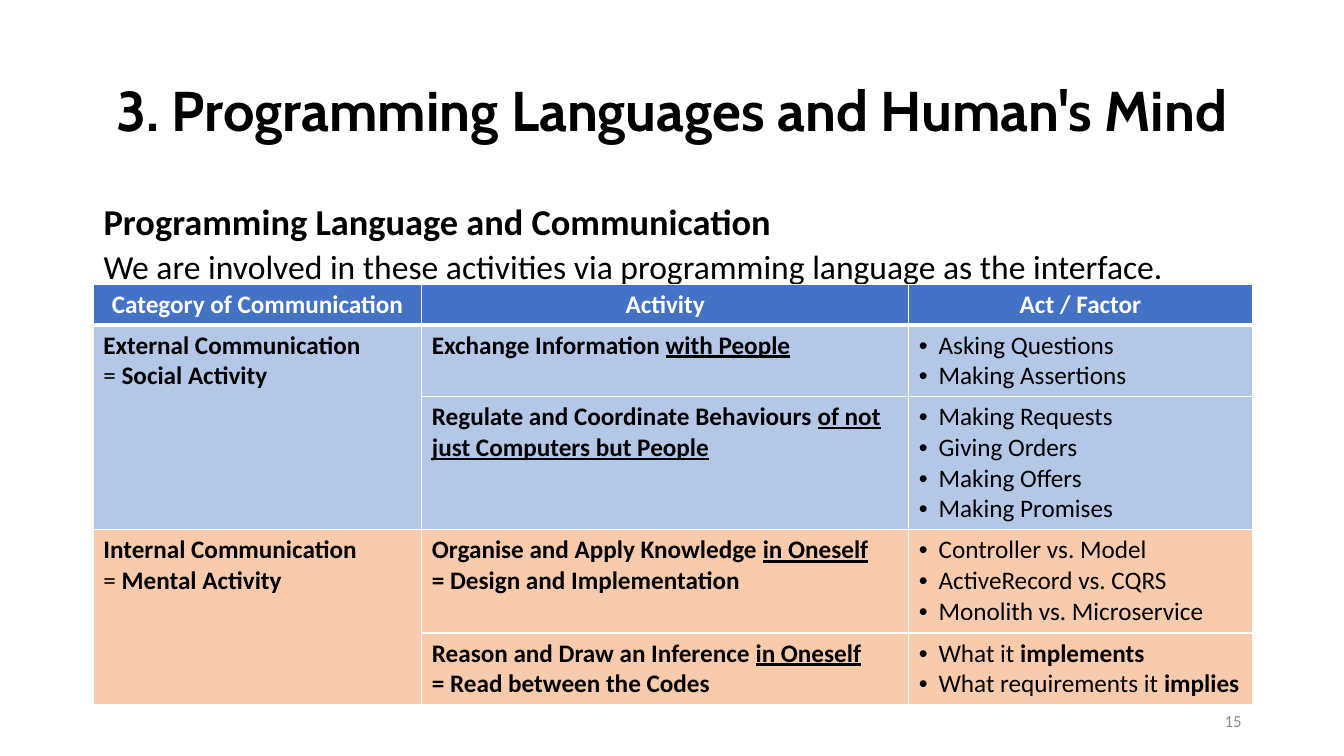
from dataclasses import dataclass

from lxml.etree import SubElement
from pptx import Presentation
from pptx.dml.color import RGBColor
from pptx.enum.text import MSO_ANCHOR, PP_ALIGN
from pptx.oxml.ns import qn
from pptx.util import Cm, Pt


@dataclass(frozen=True)
class Theme:
    heading_font: str = "Cabin"
    body_font: str = "Calibri"
    ink: str = "000000"
    paper: str = "FFFFFF"
    muted: str = "8C8C8C"
    header: str = "4472C4"
    external: str = "B4C7E7"
    internal: str = "F8CBAD"
    title_size: float = 40
    subtitle_size: float = 26
    lead_size: float = 24
    table_size: float = 18
    number_size: float = 12


@dataclass(frozen=True)
class Line:
    runs: list
    size: float
    color: str
    font: str = Theme.body_font
    align: PP_ALIGN = PP_ALIGN.LEFT
    bullet: bool = False
    spacing: object = None
    before: float = 0


class Deck:
    def __init__(self, theme):
        self.theme = theme
        self.presentation = Presentation()
        self.presentation.slide_width = Cm(33.87)
        self.presentation.slide_height = Cm(19.05)
        self.slide = self.presentation.slides.add_slide(self.presentation.slide_layouts[6])

    def add_lines(self, frame, lines):
        for index, line in enumerate(lines):
            paragraph = frame.add_paragraph() if index else frame.paragraphs[0]
            if line.bullet:
                self.bullet(paragraph)
            paragraph.alignment = line.align
            if line.spacing:
                paragraph.line_spacing = line.spacing
            if index and line.before:
                paragraph.space_before = Pt(line.before)
            for wording, style in line.runs:
                run = paragraph.add_run()
                run.text = wording
                run.font.name = line.font
                run.font.size = Pt(line.size)
                run.font.color.rgb = RGBColor.from_string(line.color)
                run.font.bold = "b" in style
                run.font.underline = "u" in style

    def bullet(self, paragraph):
        properties = paragraph._p.get_or_add_pPr()
        properties.set("marL", str(Cm(0.5)))
        properties.set("indent", str(Cm(-0.5)))
        SubElement(properties, qn("a:buFont"), typeface="Arial")
        SubElement(properties, qn("a:buChar"), char="•")

    def text(self, left, top, width, height, lines, anchor=MSO_ANCHOR.TOP):
        box = self.slide.shapes.add_textbox(Cm(left), Cm(top), Cm(width), Cm(height))
        box.text_frame.word_wrap = True
        box.text_frame.vertical_anchor = anchor
        self.add_lines(box.text_frame, lines)

    def table(self, left, top, widths, heights):
        grid = self.slide.shapes.add_table(
            len(heights), len(widths), Cm(left), Cm(top), Cm(sum(widths)), Cm(sum(heights))
        ).table
        for column, width in zip(grid.columns, widths):
            column.width = Cm(width)
        for row, height in zip(grid.rows, heights):
            row.height = Cm(height)
        return grid

    def cell(self, cell, fill, lines=(), bottom=1):
        self.add_lines(cell.text_frame, lines)
        properties = cell._tc.get_or_add_tcPr()
        for side, points in (("lnL", 1), ("lnR", 1), ("lnT", 1), ("lnB", bottom)):
            border = SubElement(properties, qn(f"a:{side}"), w=str(Pt(points)))
            paint = SubElement(border, qn("a:solidFill"))
            SubElement(paint, qn("a:srgbClr"), val=self.theme.paper)
        cell.fill.solid()
        cell.fill.fore_color.rgb = RGBColor.from_string(fill)


def main():
    theme = Theme()
    deck = Deck(theme)

    def entry(*runs, bullet=False):
        return Line(list(runs), theme.table_size, theme.ink, bullet=bullet)

    def factors(*names):
        return [entry((name, ""), bullet=True) for name in names]

    deck.text(2.33, 1.02, 29.21, 3.68, [
        Line([("3. Programming Languages and Human's Mind", "b")], theme.title_size,
             theme.ink, theme.heading_font, PP_ALIGN.CENTER, spacing=0.9),
    ], MSO_ANCHOR.MIDDLE)
    deck.text(23.92, 17.66, 7.62, 1.01, [
        Line([("15", "")], theme.number_size, theme.muted, align=PP_ALIGN.RIGHT),
    ], MSO_ANCHOR.MIDDLE)
    deck.text(2.36, 5.08, 29.18, 2.2, [
        Line([("Programming Language and Communication", "b")], theme.subtitle_size,
             theme.ink, spacing=Pt(25.9)),
        Line([("We are involved in these activities via programming language as the interface.", "")],
             theme.lead_size, theme.ink, spacing=Pt(25.9), before=5),
    ])

    grid = deck.table(2.35, 7.17, [8.28, 12.27, 8.66], [1.02, 1.8, 3.36, 2.6, 1.8])
    for column, heading in enumerate(["Category of Communication", "Activity", "Act / Factor"]):
        deck.cell(grid.cell(0, column), theme.header, [
            Line([(heading, "b")], theme.table_size, theme.paper, align=PP_ALIGN.CENTER),
        ], bottom=3)

    categories = [
        ("External Communication", "Social Activity", theme.external, [
            ([entry(("Exchange Information ", "b"), ("with People", "bu"))],
             factors("Asking Questions", "Making Assertions")),
            ([entry(("Regulate and Coordinate Behaviours ", "b"),
                    ("of not just Computers but People", "bu"))],
             factors("Making Requests", "Giving Orders", "Making Offers", "Making Promises")),
        ]),
        ("Internal Communication", "Mental Activity", theme.internal, [
            ([entry(("Organise and Apply Knowledge ", "b"), ("in Oneself", "bu")),
              entry(("= Design and Implementation", "b"))],
             factors("Controller vs. Model", "ActiveRecord vs. CQRS", "Monolith vs. Microservice")),
            ([entry(("Reason and Draw an Inference ", "b"), ("in Oneself", "bu")),
              entry(("= Read between the Codes", "b"))],
             [entry(("What it ", ""), ("implements", "b"), bullet=True),
              entry(("What requirements it ", ""), ("implies", "b"), bullet=True)]),
        ]),
    ]
    row = 1
    for category, meaning, fill, activities in categories:
        grid.cell(row, 0).merge(grid.cell(row + len(activities) - 1, 0))
        label = [entry((category, "b")), entry(("= ", ""), (meaning, "b"))]
        for activity, acts in activities:
            for column, lines in enumerate([label, activity, acts]):
                deck.cell(grid.cell(row, column), fill, lines)
            label = []
            row += 1

    deck.presentation.save("out.pptx")


if __name__ == "__main__":
    main()
